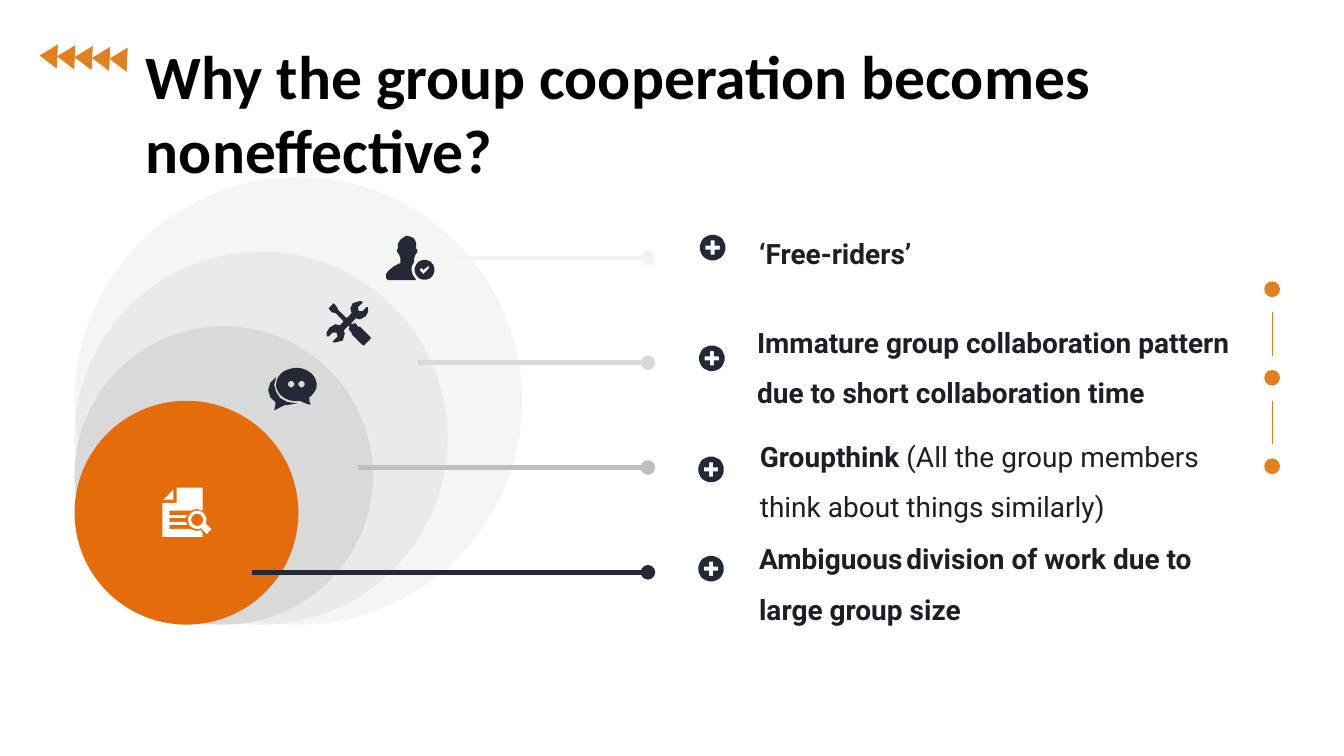
import math
from dataclasses import dataclass
from typing import Optional

from lxml import etree
from pptx import Presentation
from pptx import util as u
from pptx.dml.color import RGBColor
from pptx.enum import shapes, text
from pptx.oxml import ns

ORANGE = RGBColor(0xE4, 0x6C, 0x0A)
AMBER = RGBColor(0xE1, 0x80, 0x1F)
NAVY = RGBColor(0x25, 0x29, 0x35)
INK = RGBColor(0x1C, 0x1F, 0x25)
BLACK = RGBColor(0, 0, 0)
WHITE = RGBColor(0xFF, 0xFF, 0xFF)
PALE = RGBColor(0xF2, 0xF2, 0xF2)
LIGHT = RGBColor(0xD9, 0xD9, 0xD9)
GREY = RGBColor(0xBF, 0xBF, 0xBF)

Points = list[tuple[float, float]]


@dataclass(frozen=True)
class Layer:
    """One of the nested circles with its leader line; lengths in cm."""
    units: int
    fill: RGBColor
    opacity: Optional[int]
    line_start: float
    line_color: RGBColor


@dataclass(frozen=True)
class Icon:
    """Outlines in hundredths of a cm, placed at left and top in cm."""
    left: float
    top: float
    color: RGBColor
    contours: list[Points]


@dataclass(frozen=True)
class Span:
    text: str
    bold: bool = True
    size: int = 20


@dataclass(frozen=True)
class Reason:
    left: float
    top: float
    width: float
    height: float
    badge_left: float
    badge_top: float
    spans: list[Span]


def arc(cx: float, cy: float, rx: float, ry: float, start: int = 0, end: int = 360) -> Points:
    """Points along an ellipse, clockwise from start to end in degrees."""
    n = 36
    angles = [math.radians(start + (end - start) * i / n) for i in range(n + 1)]
    return [(cx + rx * math.cos(a), cy + ry * math.sin(a)) for a in angles]


PERSON = [
    [(51, 0), (64, 3), (71, 8), (76, 18), (76, 33), (79, 35), (79, 41), (74, 48), (71, 56),
     (71, 66), (65, 76), (64, 86), (67, 98), (76, 112), (5, 112), (0, 107), (0, 97), (5, 89),
     (20, 77), (36, 69), (36, 56), (33, 48), (28, 41), (28, 34), (30, 32), (30, 20), (36, 10),
     (46, 3)],
    arc(97, 86, 25, 25),
    [(107, 76), (94, 86), (89, 81), (84, 86), (94, 97), (109, 81)],
]
TOOLS = [
    [(109, 89), (84, 64), (79, 64), (74, 56), (69, 56), (66, 58), (61, 56), (74, 43), (84, 46),
     (99, 38), (105, 26), (104, 15), (101, 15), (91, 25), (81, 25), (79, 15), (91, 4), (88, 0),
     (83, 0), (66, 5), (60, 18), (63, 30), (51, 43), (30, 23), (25, 13), (18, 5), (5, 18),
     (13, 28), (23, 30), (43, 51), (33, 61), (23, 58), (8, 66), (0, 79), (0, 89), (5, 89),
     (15, 79), (25, 79), (28, 89), (15, 102), (18, 104), (23, 104), (41, 99), (46, 81),
     (43, 74), (56, 61), (58, 66), (56, 71), (64, 81), (64, 84), (89, 109), (94, 112),
     (109, 97), (112, 92)],
]
CHAT = [
    arc(71, 42, 51, 42, 81, 410) + [(104, 85), (107, 93), (98, 91)],
    arc(58, 41, 8, 8),
    arc(84, 41, 8, 8),
    [(20, 23), (15, 43), (20, 61), (30, 76), (48, 86), (69, 89), (74, 89), (48, 94), (41, 94),
     (15, 107), (18, 94), (18, 86), (5, 74), (0, 56), (5, 38)],
]
DOCUMENT = [
    [(36, 0), (102, 0), (102, 58), (87, 53), (71, 58), (18, 58), (18, 69), (64, 69), (58, 76),
     (18, 76), (18, 86), (58, 86), (64, 94), (18, 94), (18, 104), (69, 104), (86, 109),
     (97, 107), (102, 114), (102, 124), (0, 124), (0, 38), (36, 38)],
    [(28, 5), (28, 30), (3, 30)],
    arc(88, 81, 23, 23, 67, 384) + [(124, 104), (112, 117)],
    arc(88, 81, 15, 15),
]
PLUS_BADGE = [
    arc(32, 32, 32, 32),
    [(27, 14), (37, 14), (37, 27), (50, 27), (50, 37), (37, 37), (37, 50), (27, 50), (27, 37),
     (14, 37), (14, 27), (27, 27)],
]
ARROW = [[(0, 28), (43, 61), (46, 0)]]

ICONS = [
    Icon(8.23, 7.59, NAVY, TOOLS),
    Icon(4.09, 12.29, WHITE, DOCUMENT),
    Icon(6.76, 9.27, NAVY, CHAT),
    Icon(9.73, 5.94, NAVY, PERSON),
]
LAYERS = [
    Layer(6, PALE, 70, 11.46, PALE),
    Layer(5, LIGHT, 38, 10.54, LIGHT),
    Layer(4, LIGHT, None, 9.02, GREY),
    Layer(3, ORANGE, None, 6.35, NAVY),
]
REASONS = [
    Reason(19.13, 5.54, 11.53, 1.14, 17.64, 5.92, [Span("‘Free-riders’")]),
    Reason(19.08, 7.77, 12.57, 2.41, 17.62, 8.71,
           [Span("Immature group collaboration pattern due to short collaboration time")]),
    Reason(19.15, 10.64, 11.53, 2.41, 17.6, 11.51,
           [Span("Groupthink "),
            Span("(All the group members think about things similarly)", bold=False)]),
    Reason(19.13, 13.23, 11.53, 2.41, 17.6, 14.01,
           [Span("Ambiguous"), Span(" ", bold=False, size=11),
            Span("division of work due to large group size")]),
]


def add_circle(parent, left: float, top: float, size: float, fill: RGBColor,
               opacity: Optional[int] = None):
    sp = parent.add_shape(shapes.MSO_SHAPE.OVAL, u.Cm(left), u.Cm(top), u.Cm(size), u.Cm(size))
    sp.shadow.inherit = False
    sp.fill.solid()
    sp.fill.fore_color.rgb = fill
    sp.line.fill.background()
    if opacity is not None:
        color = sp.fill._xPr.find(".//" + ns.qn("a:srgbClr"))
        etree.SubElement(color, ns.qn("a:alpha")).set("val", str(opacity * 1000))
    return sp


def add_line(parent, x1: float, y1: float, x2: float, y2: float, color: RGBColor,
             width: float, oval_end: bool = False) -> None:
    line = parent.add_connector(shapes.MSO_CONNECTOR.STRAIGHT,
                                u.Cm(x1), u.Cm(y1), u.Cm(x2), u.Cm(y2))
    line.line.color.rgb = color
    line.line.width = u.Pt(width)
    if oval_end:
        etree.SubElement(line.line._get_or_add_ln(), ns.qn("a:tailEnd")).set("type", "oval")
    etree.SubElement(line._element.spPr, ns.qn("a:effectLst"))


def add_icon(parent, icon: Icon) -> None:
    first, *rest = icon.contours
    builder = parent.build_freeform(*first[0], scale=u.Cm(0.01))
    builder.add_line_segments(first[1:])
    for contour in rest:
        builder.move_to(*contour[0])
        builder.add_line_segments(contour[1:])
    sp = builder.convert_to_shape(u.Cm(icon.left), u.Cm(icon.top))
    sp.shadow.inherit = False
    sp.fill.solid()
    sp.fill.fore_color.rgb = icon.color
    sp.line.fill.background()


def add_text_box(parent, left: float, top: float, width: float, height: float):
    tf = parent.add_textbox(u.Cm(left), u.Cm(top), u.Cm(width), u.Cm(height)).text_frame
    tf.word_wrap = True
    tf.auto_size = text.MSO_AUTO_SIZE.SHAPE_TO_FIT_TEXT
    return tf


def add_reason(parent, reason: Reason) -> None:
    add_icon(parent, Icon(reason.badge_left, reason.badge_top, NAVY, PLUS_BADGE))
    tf = add_text_box(parent, reason.left, reason.top, reason.width, reason.height)
    tf.margin_left = tf.margin_top = tf.margin_right = tf.margin_bottom = 0
    p = tf.paragraphs[0]
    p.line_spacing = 1.5
    p.font.name = "Roboto"
    p.font.color.rgb = INK
    for span in reason.spans:
        r = p.add_run()
        r.text = span.text
        r.font.size = u.Pt(span.size)
        r.font.bold = span.bold


def add_side_dots(parent) -> None:
    """Three dots with a thin line in each gap."""
    group = parent.add_group_shape().shapes
    for i in range(3):
        top = 7.11 + 2.23 * i
        dot = add_circle(group, 31.88, top, 0.36, AMBER)
        dot.line.color.rgb = AMBER
        dot.line.width = u.Pt(1)
        if i < 2:
            add_line(group, 32.06, top + 0.76, 32.06, top + 1.86, AMBER, 0.5)


def main() -> None:
    prs = Presentation()
    prs.slide_width, prs.slide_height = u.Cm(33.87), u.Cm(19.05)
    s = prs.slides.add_slide(prs.slide_layouts[6]).shapes

    for layer in LAYERS:
        size = 1.88 * layer.units
        add_circle(s, 1.88, 15.74 - size, size, layer.fill, layer.opacity)
    for i, layer in enumerate(LAYERS):
        y = 6.5 + 2.64 * i
        add_line(s, layer.line_start, y, 16.33, y, layer.line_color, 3.5, oval_end=True)
    for icon in ICONS:
        add_icon(s, icon)
    add_side_dots(s)
    for reason in REASONS:
        add_reason(s, reason)

    arrows = s.add_group_shape().shapes
    for i in range(5):
        add_icon(arrows, Icon(1 + 0.44 * i, 1.12 + 0.02 * i, AMBER, ARROW))

    p = add_text_box(s, 3.43, 0.84, 27.69, 4.01).paragraphs[0]
    p.text = "Why the group cooperation becomes noneffective?"
    p.font.name = "Calibri"
    p.font.size = u.Pt(44)
    p.font.bold = True
    p.font.color.rgb = BLACK
    prs.save("out.pptx")


if __name__ == "__main__":
    main()
